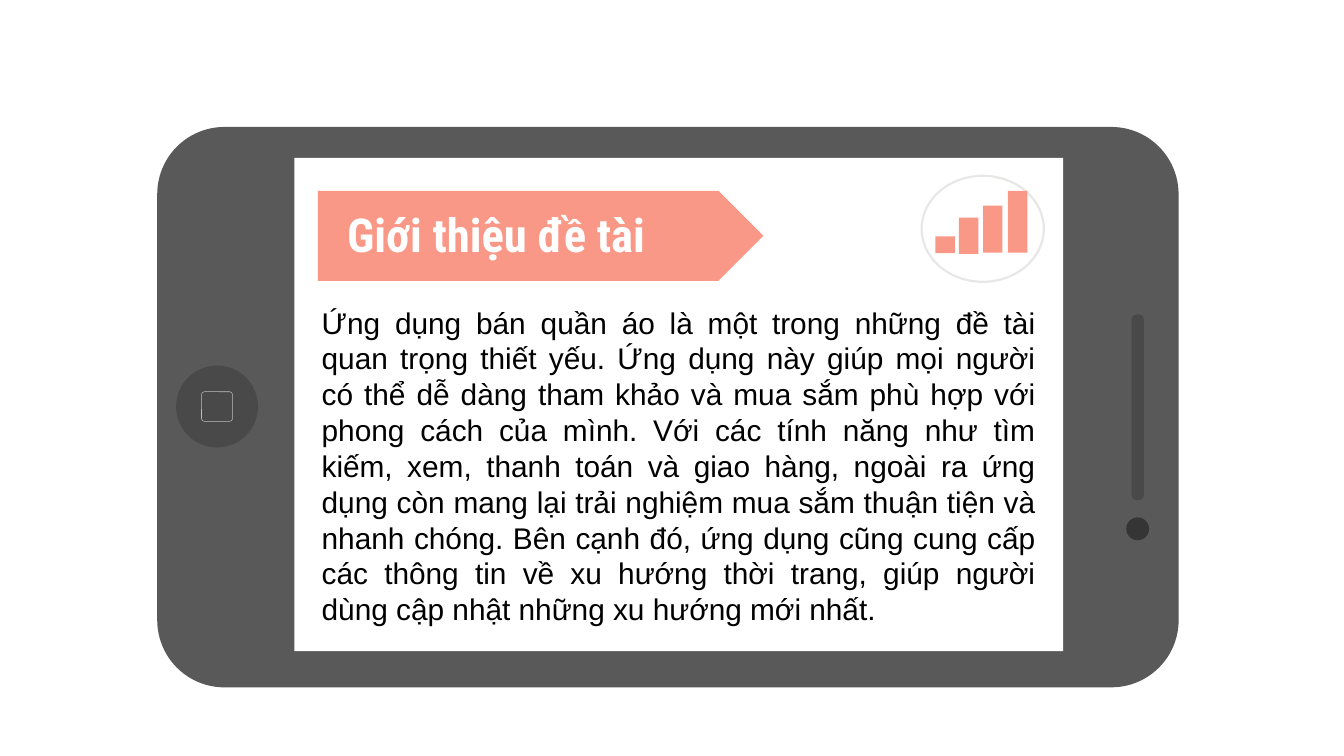
from pptx import Presentation
from pptx import util as u
from pptx.dml.color import RGBColor
from pptx.enum import shapes, text

# Fine grid of square cells on a 16:9 slide
COLUMNS = 1000
ROWS = COLUMNS * 9 / 16
CELL = u.Inches(0.01)

BODY_GREY = RGBColor(0x59, 0x59, 0x59)
BUTTON_GREY = RGBColor(0x49, 0x49, 0x49)
CAMERA_GREY = RGBColor(0x35, 0x35, 0x35)
OUTLINE_GREY = RGBColor(0xC1, 0xBD, 0xBD)
RING_GREY = RGBColor(0xE7, 0xE7, 0xE6)
CORAL = RGBColor(0xFA, 0x98, 0x87)
WHITE = RGBColor(0xFF, 0xFF, 0xFF)
BLACK = RGBColor(0x00, 0x00, 0x00)

KIND = shapes.MSO_SHAPE
TITLE = "Giới thiệu đề tài"
DESCRIPTION = (
    "Ứng dụng bán quần áo là một trong những đề tài quan trọng thiết yếu. "
    "Ứng dụng này giúp mọi người có thể dễ dàng tham khảo và mua sắm phù hợp "
    "với phong cách của mình. Với các tính năng như tìm kiếm, xem, thanh toán "
    "và giao hàng, ngoài ra ứng dụng còn mang lại trải nghiệm mua sắm thuận "
    "tiện và nhanh chóng. Bên cạnh đó, ứng dụng cũng cung cấp các thông tin "
    "về xu hướng thời trang, giúp người dùng cập nhật những xu hướng mới nhất."
)


def cells(*counts):
    return [u.Emu(int(count * CELL)) for count in counts]


def add_shape(slide, kind, box, fill=None, line=None, adjustment=None):
    shape = slide.shapes.add_shape(kind, *cells(*box))
    shape.shadow.inherit = False
    if adjustment is not None:
        shape.adjustments[0] = adjustment
    if fill is None:
        shape.fill.background()
    else:
        shape.fill.solid()
        shape.fill.fore_color.rgb = fill
    if line is None:
        shape.line.fill.background()
    else:
        shape.line.color.rgb = line
        shape.line.width = u.Pt(0.28)


def add_text(slide, box, content, font, size, color, bold=False, align=None):
    frame = slide.shapes.add_textbox(*cells(*box)).text_frame
    frame.word_wrap = True
    frame.auto_size = text.MSO_AUTO_SIZE.SHAPE_TO_FIT_TEXT
    paragraph = frame.paragraphs[0]
    paragraph.alignment = align
    run = paragraph.add_run()
    run.text = content
    run.font.name = font
    run.font.size = u.Pt(size)
    run.font.bold = bold
    run.font.color.rgb = color


def add_phone(slide):
    rounded = KIND.ROUNDED_RECTANGLE
    add_shape(slide, rounded, (117, 94.5, 760, 417), BODY_GREY, adjustment=0.12)
    # Speaker and camera on the right
    add_shape(slide, rounded, (842, 234, 9, 138), BUTTON_GREY, adjustment=0.4)
    add_shape(slide, KIND.OVAL, (838, 385, 17, 17), CAMERA_GREY)
    # Home button on the left
    add_shape(slide, KIND.OVAL, (131, 272, 61, 61), BUTTON_GREY)
    add_shape(slide, rounded, (150, 291.5, 23, 22), line=OUTLINE_GREY, adjustment=0.1)
    # Screen
    add_shape(slide, KIND.RECTANGLE, (219, 117.5, 572, 367), WHITE)


def add_signal_icon(slide):
    add_shape(slide, KIND.DONUT, (685, 130, 92.5, 80.5), RING_GREY, adjustment=0.02)
    bars = [(696, 176, 188.5), (713.5, 162, 189), (731.5, 153, 188), (750, 142, 188)]
    for left, top, bottom in bars:
        add_shape(slide, KIND.RECTANGLE, (left, top, 14.5, bottom - top), CORAL)


def main():
    presentation = Presentation()
    presentation.slide_width, presentation.slide_height = cells(COLUMNS, ROWS)
    slide = presentation.slides.add_slide(presentation.slide_layouts[6])

    add_phone(slide)
    add_text(slide, (229.5, 221.5, 551, 252), DESCRIPTION, "Arial", 16, BLACK,
             align=text.PP_ALIGN.JUSTIFY)
    # Title banner
    add_shape(slide, KIND.PENTAGON, (236.5, 142, 331.5, 67), CORAL, adjustment=0.5)
    add_text(slide, (248.5, 148, 270, 52), TITLE, "Roboto Condensed", 25, WHITE, bold=True)
    add_signal_icon(slide)

    presentation.save("out.pptx")


if __name__ == "__main__":
    main()
